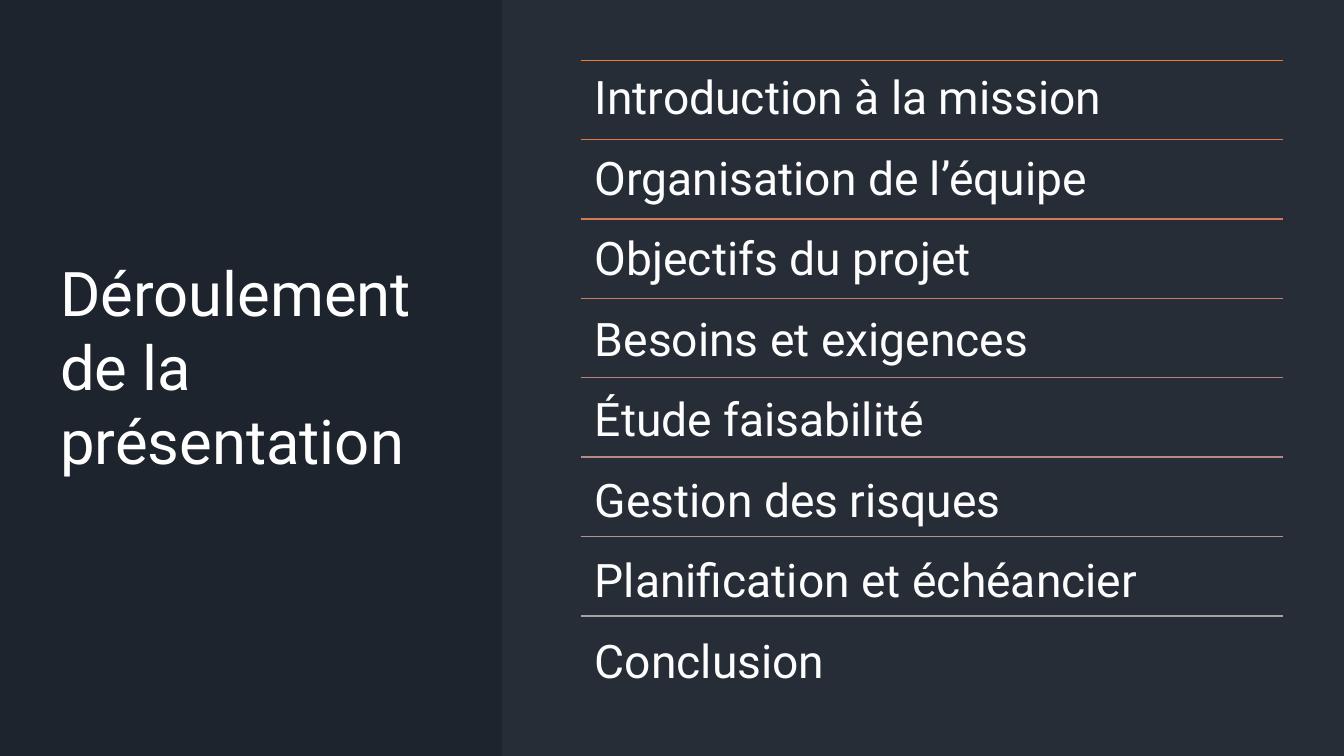
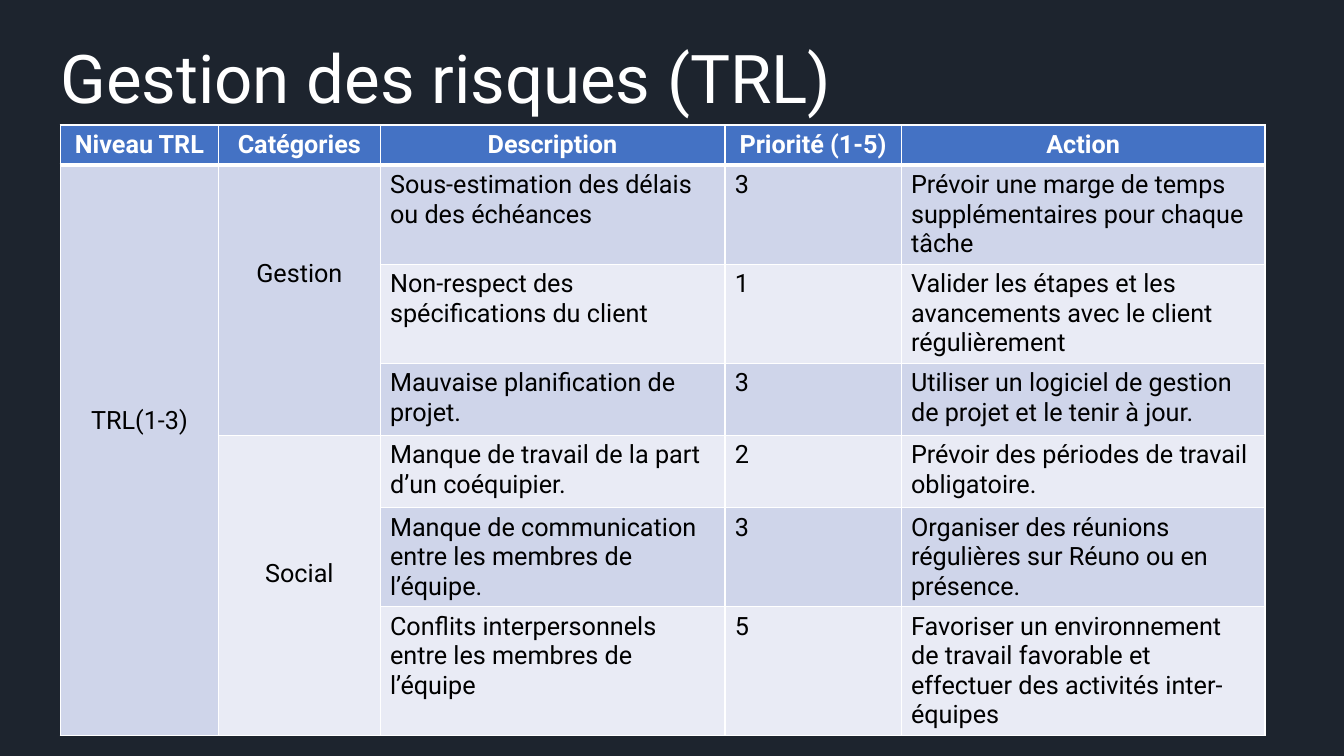
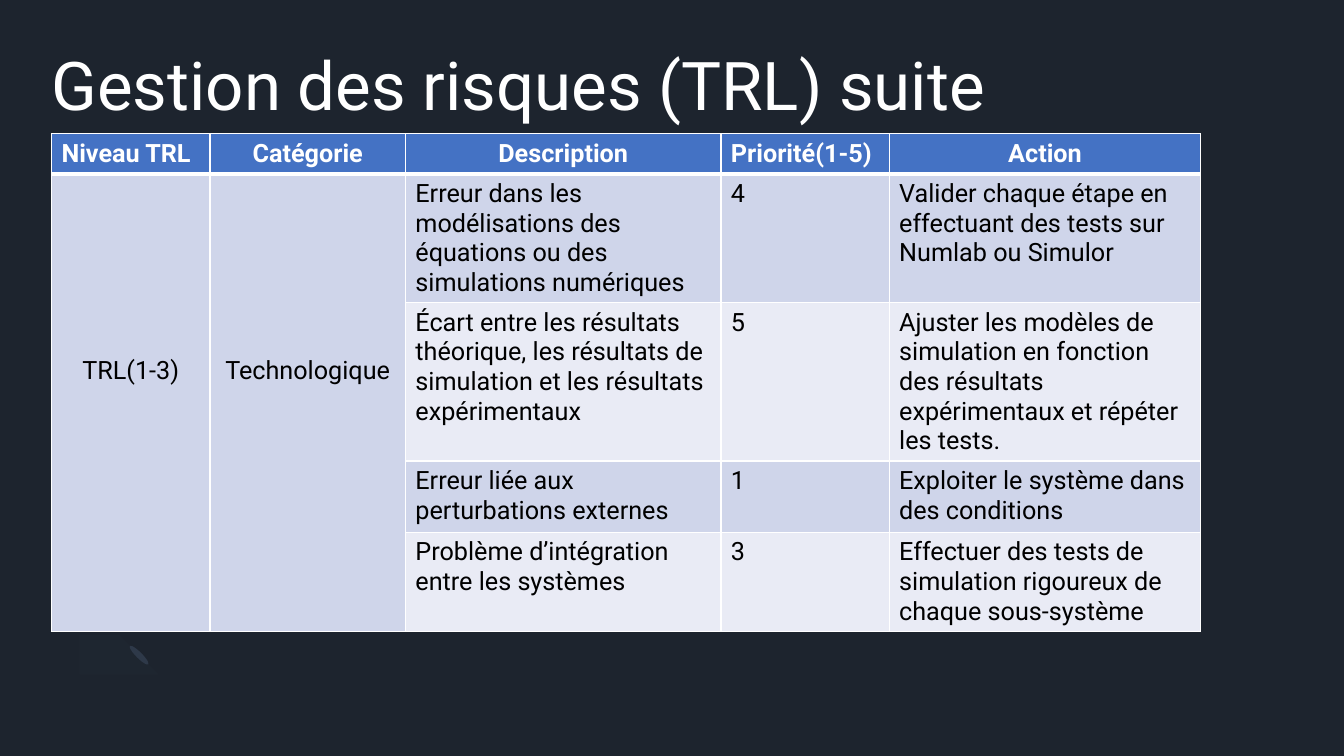
from colorsys import hls_to_rgb, rgb_to_hls
from math import cos, radians, sin

from lxml.etree import SubElement
from pptx import Presentation
from pptx.dml.color import RGBColor
from pptx.enum.shapes import MSO_CONNECTOR, MSO_SHAPE
from pptx.enum.text import MSO_ANCHOR, MSO_AUTO_SIZE, PP_ALIGN
from pptx.oxml import parse_xml
from pptx.oxml.ns import nsdecls, qn
from pptx.util import Cm, Pt

FONT = "Roboto"
COLORS = {
    "background": "1D242E",
    "panel": "E4E8EE",
    "white": "FFFFFF",
    "black": "000000",
    "first_rule": "ED7D31",
    "last_rule": "A3A3A3",
    "header": "4472C4",
    "odd_row": "CFD5EA",
    "even_row": "E9EBF5",
    "ellipse": "2E3949",
    "arc": "7A8EAB",
}
TABLE_SIZE = 18
CELL_MARGIN = 0.13
CELL_LINE = 0.744  # height in cm of one line of table text

AGENDA = [
    "Introduction à la mission",
    "Organisation de l’équipe",
    "Objectifs du projet",
    "Besoins et exigences",
    "Étude faisabilité",
    "Gestion des risques",
    "Planification et échéancier",
    "Conclusion",
]

RISKS = [
    ["Niveau TRL", "Catégories", "Description", "Priorité (1-5)", "Action"],
    ["TRL(1-3)", "Gestion", "Sous-estimation des délais ou des échéances", "3",
     "Prévoir une marge de temps supplémentaires pour chaque tâche"],
    [None, None, "Non-respect des spécifications du client", "1",
     "Valider les étapes et les avancements avec le client régulièrement"],
    [None, None, "Mauvaise planification de projet.", "3",
     "Utiliser un logiciel de gestion de projet et le tenir à jour."],
    [None, "Social", "Manque de travail de la part d’un coéquipier.", "2",
     "Prévoir des périodes de travail obligatoire."],
    [None, None, "Manque de communication entre les membres de l’équipe.", "3",
     "Organiser des réunions régulières sur Réuno ou en présence."],
    [None, None, "Conflits interpersonnels entre les membres de l’équipe", "5",
     "Favoriser un environnement de travail favorable et effectuer des "
     "activités inter-équipes"],
]

MORE_RISKS = [
    ["Niveau TRL", "Catégorie", "Description", "Priorité(1-5)", "Action"],
    ["TRL(1-3)", "Technologique",
     "Erreur dans les modélisations des équations ou des simulations numériques",
     "4", "Valider chaque étape en effectuant des tests sur Numlab ou Simulor"],
    [None, None,
     "Écart entre les résultats théorique, les résultats de simulation et les "
     "résultats expérimentaux", "5",
     "Ajuster les modèles de simulation en fonction des résultats "
     "expérimentaux et répéter les tests."],
    [None, None, "Erreur liée aux perturbations externes", "1",
     "Exploiter le système dans des conditions"],
    [None, None, "Problème d’intégration entre les systèmes", "3",
     "Effectuer des tests de simulation rigoureux de chaque sous-système"],
]


def rgb(name):
    return RGBColor.from_string(COLORS[name])


def write(paragraph, text, size, color="white", bold=False, align=PP_ALIGN.LEFT):
    span = paragraph.add_run()
    span.text = text
    span.font.name = FONT
    span.font.size = Pt(size)
    span.font.bold = bold
    span.font.color.rgb = rgb(color)
    paragraph.alignment = align


def place(box, left, top, width, height):
    box.left, box.top = Cm(left), Cm(top)
    box.width, box.height = Cm(width), Cm(height)


def set_margins(target, horizontal, vertical):
    target.margin_left = target.margin_right = Cm(horizontal)
    target.margin_top = target.margin_bottom = Cm(vertical)


def add_title(page, text, at, size, anchor=MSO_ANCHOR.TOP):
    title = page.shapes.title
    place(title, *at)
    frame = title.text_frame
    frame.word_wrap = True
    frame.auto_size = MSO_AUTO_SIZE.NONE
    frame.vertical_anchor = anchor
    set_margins(frame, 0, 0)
    write(frame.paragraphs[0], text, size)


def paint(shape, color, opacity=100):
    shape.shadow.inherit = False
    shape.line.fill.background()
    shape.fill.solid()
    shape.fill.fore_color.rgb = rgb(color)
    if opacity < 100:
        fill = shape.element.spPr.find(qn("a:solidFill"))
        SubElement(fill[0], qn("a:alpha"), val=str(opacity * 1000))


def add_rule(page, left, right, top, color):
    rule = page.shapes.add_connector(
        MSO_CONNECTOR.STRAIGHT, Cm(left), Cm(top), Cm(right), Cm(top))
    rule.line.width = Pt(1)
    rule.line.color.rgb = color
    SubElement(rule.element.spPr, qn("a:effectLst"))


def rule_color(share):
    """Blend the first and last rule colours in hue, lightness and saturation."""
    first, last = (rgb_to_hls(*(part / 255 for part in rgb(name)))
                   for name in ("first_rule", "last_rule"))
    mixed = (a + (b - a) * share for a, b in zip(first, last))
    return RGBColor(*(round(part * 255) for part in hls_to_rgb(*mixed)))


def add_agenda(page, items, left, top, width, pitch):
    size, spacing = 33, 0.9
    body = page.placeholders[1]
    place(body, left, top, width, pitch * len(items))
    frame = body.text_frame
    frame.word_wrap = True
    frame.auto_size = MSO_AUTO_SIZE.NONE
    frame.vertical_anchor = MSO_ANCHOR.TOP
    set_margins(frame, 0.36, 0.36)
    line_height = size * spacing * 1.172
    for index, item in enumerate(items):
        paragraph = frame.paragraphs[0] if index == 0 else frame.add_paragraph()
        write(paragraph, item, size)
        paragraph.line_spacing = spacing
        paragraph.space_before = Pt(0)
        paragraph.space_after = Pt(Cm(pitch).pt - line_height)
        properties = paragraph._p.get_or_add_pPr()
        properties.set("marL", "0")
        properties.set("indent", "0")
        SubElement(properties, qn("a:buNone"))
        add_rule(page, left, left + width, top + index * pitch,
                 rule_color(index / (len(items) - 1)))


def add_layout_ornament(page):
    """Draw the corner ornament, then hand it to the layout the page uses."""
    center_x, center_y = 2.95, 15.7
    angles = range(45, 226, 10)
    points = [(center_x + radius * cos(radians(angle)),
               center_y + radius * sin(radians(angle)))
              for radius, turn in ((1.27, angles), (0.64, reversed(angles)))
              for angle in turn]
    builder = page.shapes.build_freeform(*points[0], scale=Cm(1))
    builder.add_line_segments(points[1:])
    arc = builder.convert_to_shape()
    paint(arc, "arc", opacity=2)
    ellipse = page.shapes.add_shape(
        MSO_SHAPE.OVAL, Cm(3.43), Cm(16.18), Cm(0.15), Cm(0.66))
    ellipse.rotation = 135
    paint(ellipse, "ellipse")
    for shape in (arc, ellipse):
        page.slide_layout.shapes.element.append(shape.element)


def set_borders(cell, top, bottom):
    properties = cell._tc.get_or_add_tcPr()
    widths = {"lnL": 1, "lnR": 1, "lnT": top, "lnB": bottom}
    for index, (side, width) in enumerate(widths.items()):
        properties.insert(index, parse_xml(
            f'<a:{side} {nsdecls("a")} w="{Pt(width)}"><a:solidFill>'
            f'<a:srgbClr val="{COLORS["white"]}"/></a:solidFill></a:{side}>'))


def style_cell(cell, row):
    set_margins(cell, 0.25, CELL_MARGIN)
    cell.fill.solid()
    cell.fill.fore_color.rgb = rgb(
        "header" if row == 0 else "odd_row" if row % 2 else "even_row")
    set_borders(cell, top=3 if row == 1 else 1, bottom=3 if row == 0 else 1)


def add_risk_table(page, rows, left, top, widths, heights, merges, left_headers=()):
    """Merges map (row, column) to the rows spanned and the lines above the text."""
    table = page.shapes.add_table(
        len(rows), len(widths), Cm(left), Cm(top),
        Cm(sum(widths)), Cm(sum(heights))).table
    for column, width in zip(table.columns, widths):
        column.width = Cm(width)
    for line, height in zip(table.rows, heights):
        line.height = Cm(height)
    for row, texts in enumerate(rows):
        for column, text in enumerate(texts):
            cell = table.cell(row, column)
            style_cell(cell, row)
            if text is None:
                continue
            header = row == 0
            centered = (column < 2 or header) and not (
                header and column in left_headers)
            write(cell.text_frame.paragraphs[0], text, TABLE_SIZE, bold=header,
                  color="white" if header else "black",
                  align=PP_ALIGN.CENTER if centered else PP_ALIGN.LEFT)
    for (row, column), (span, lines_above) in merges.items():
        cell = table.cell(row, column)
        cell.merge(table.cell(row + span - 1, column))
        cell.margin_top = Cm(CELL_MARGIN + lines_above * CELL_LINE)


def main():
    deck = Presentation()
    deck.slide_width, deck.slide_height = Cm(33.87), Cm(19.05)
    background = deck.slide_master.background.fill
    background.solid()
    background.fore_color.rgb = rgb("background")
    agenda_layout, table_layout = deck.slide_layouts[1], deck.slide_layouts[5]

    page = deck.slides.add_slide(agenda_layout)
    panel = page.shapes.add_shape(
        MSO_SHAPE.RECTANGLE, Cm(12.65), 0, Cm(21.22), Cm(19.05))
    paint(panel, "panel", opacity=5)
    add_title(page, "Déroulement de la présentation", (1.52, 1.52, 9.9, 15.4),
              size=44, anchor=MSO_ANCHOR.MIDDLE)
    add_agenda(page, AGENDA, left=14.63, top=1.52, width=17.7, pitch=2)

    page = deck.slides.add_slide(table_layout)
    add_layout_ornament(page)
    add_title(page, "Gestion des risques (TRL)", (1.52, 0.92, 30.8, 3.7), size=48)
    add_risk_table(
        page, RISKS, left=1.52, top=3.15,
        widths=[3.99, 4.07, 8.69, 4.44, 9.17],
        heights=[1.01, 2.49, 2.49, 1.82, 1.82, 2.49, 3.24],
        merges={(1, 0): (6, 8), (1, 1): (3, 3), (4, 1): (3, 4)})

    page = deck.slides.add_slide(table_layout)
    add_title(page, "Gestion des risques (TRL) suite", (1.3, 1.1, 30.8, 3.7), size=48)
    add_risk_table(
        page, MORE_RISKS, left=1.3, top=3.37,
        widths=[3.99, 4.93, 7.95, 4.24, 7.85],
        heights=[1.02, 3.22, 3.98, 1.8, 2.49],
        merges={(1, 0): (4, 6), (1, 1): (4, 6)}, left_headers=(0, 3))

    deck.save("out.pptx")


if __name__ == "__main__":
    main()
